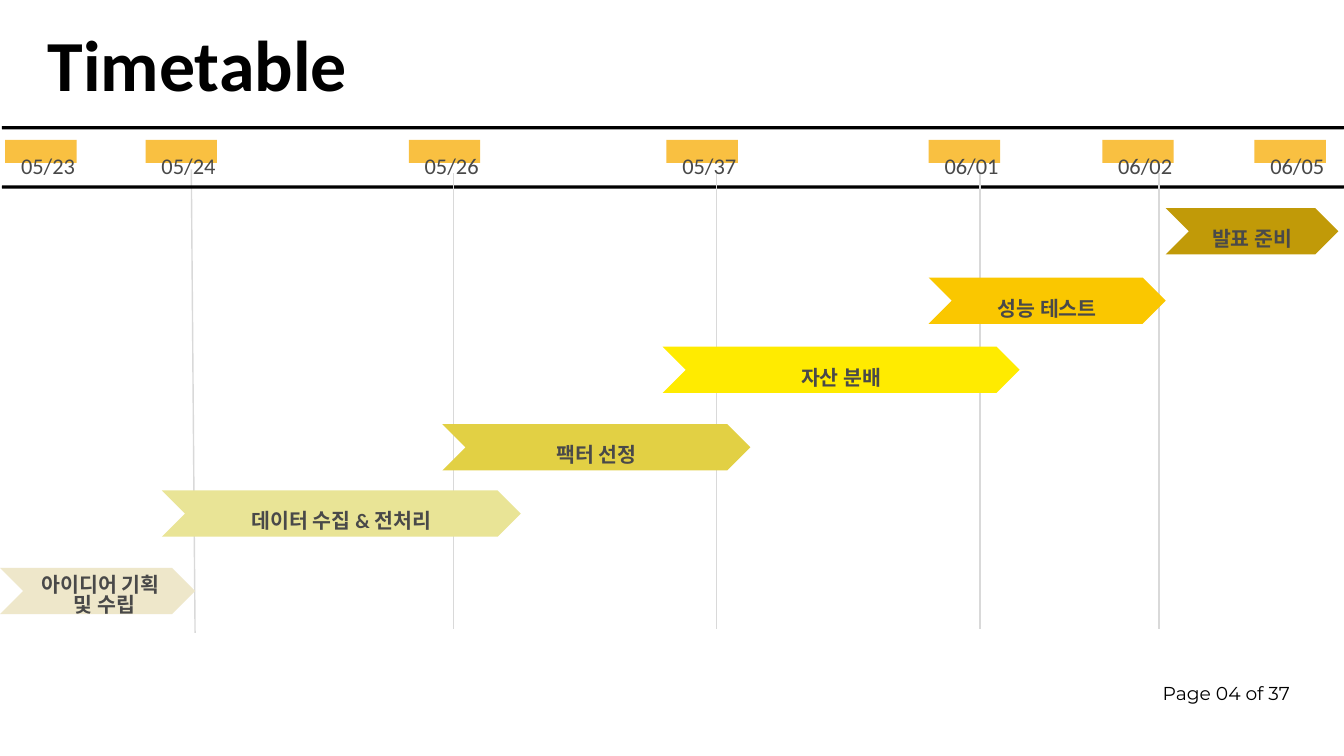
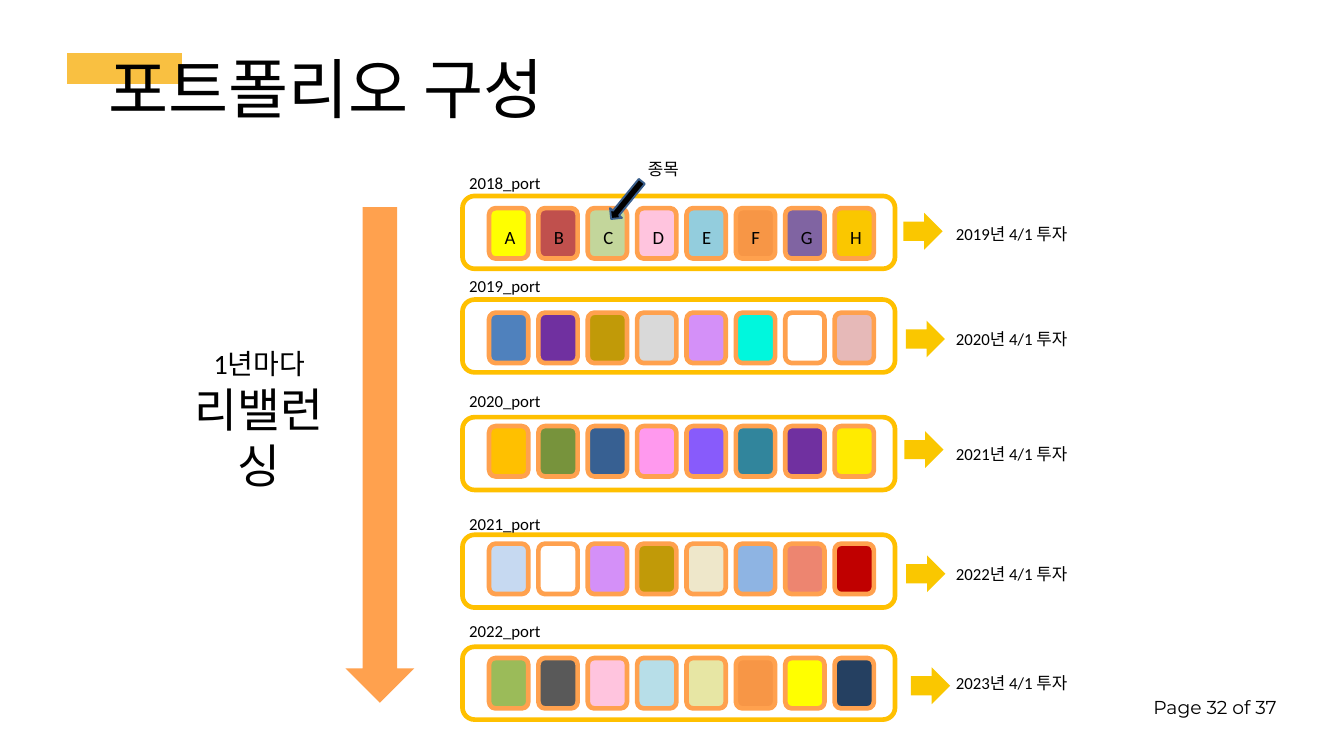
from lxml.etree import SubElement
from pptx import Presentation
from pptx.dml.color import RGBColor
from pptx.enum.shapes import MSO_CONNECTOR as Connector, MSO_SHAPE as Preset
from pptx.enum.text import MSO_ANCHOR as Anchor, MSO_AUTO_SIZE as AutoSize, PP_ALIGN as Align
from pptx.oxml.ns import qn
from pptx.util import Pt

BLACK, GRAY, GUIDE = "000000", "494949", "D9D9D9"
AMBER, GOLD, FRAME, ORANGE = "F9C041", "FAC700", "FFC000", "FFA14E"
TITLE_ONLY = 5

DATES = [("05/23", 5.5), ("05/24", 156), ("05/26", 438), ("05/37", 714),
         ("06/01", 995), ("06/02", 1181), ("06/05", 1344)]
GUIDES = [486, 768, 1050, 1242]
PHASES = [
    ("", 0, 608.5, 209, "EEE7CA"),
    ("데이터 수집 & 전처리", 173.5, 525.5, 384.5, "E9E496"),
    ("팩터 선정", 474, 454.5, 330, "E2D044"),
    ("자산 분배", 710, 371.5, 382.5, "FFEB00"),
    ("성능 테스트", 995, 297.5, 254, GOLD),
    ("발표 준비", 1249, 223, 185, "C19A08"),
]

TILE_LEFT, TILE_STEP = 524, 52.9
PORTFOLIOS = [
    (2018, 181, 210, 223, (968, 228), 236,
     ["FFFF00", "C0504D", "C3D69B", "FFC4DE", "93CDDD", "F79646", "8064A2", GOLD]),
    (2019, 292, 321, 335, (970.5, 343.5), 348.5,
     ["4F81BD", "7030A0", "C19A08", "D9D9D9", "D490F8", "00F7DD", None, "E6B9B8"]),
    (2020, 415.5, 447, 456.5, (969, 462), 472,
     ["FFC000", "77933C", "376092", "FF99EE", "885BFB", "31859C", "7030A0", "FFEB00"]),
    (2021, 546.5, 573, 582.5, (971, 595), 600.5,
     ["C6D9F1", None, "D490F8", "C19A08", "EEE7CA", "8EB4E3", "ED8570", "C00000"]),
    (2022, 662, 693, 705, (976, 715), 717,
     ["9BBB59", "595959", "FFC4DE", "B7DEE8", "E7E6A4", "F79646", "FFFF00", "254061"]),
]


def rgb(value):
    return RGBColor.from_string(value)


def write(shape, text, size, color=BLACK, bold=False, align=Align.LEFT, spacing=None, font="Calibri"):
    shape.text_frame.text = text
    for paragraph in shape.text_frame.paragraphs:
        paragraph.alignment = align
        if spacing:
            paragraph.line_spacing = Pt(spacing)
        for run in paragraph.runs:
            run.font.name = font
            run.font.size = Pt(size)
            run.font.bold = bold
            run.font.color.rgb = rgb(color)


def remove_insets(frame):
    frame.margin_left = frame.margin_top = frame.margin_right = frame.margin_bottom = 0


def add_text(slide, box, text, size, wrap=False, inset=True, **style):
    shape = slide.shapes.add_textbox(*map(Pt, box))
    shape.text_frame.word_wrap = wrap
    if not inset:
        remove_insets(shape.text_frame)
    write(shape, text, size, **style)
    return shape


def add_preset(slide, preset, box, fill=None, line=None, line_width=5):
    shape = slide.shapes.add_shape(preset, *map(Pt, box))
    shape.shadow.inherit = False
    if fill:
        shape.fill.solid()
        shape.fill.fore_color.rgb = rgb(fill)
    else:
        shape.fill.background()
    if line:
        shape.line.color.rgb = rgb(line)
        shape.line.width = Pt(line_width)
    else:
        shape.line.fill.background()
    return shape


def add_guide(slide, *ends):
    connector = slide.shapes.add_connector(Connector.STRAIGHT, *map(Pt, ends))
    connector.line.color.rgb = rgb(GUIDE)
    connector.line.width = Pt(1.5)
    SubElement(connector.element.spPr, qn("a:effectLst"))


def place_title(slide, box, text, size, bold=False):
    title = slide.shapes.title
    title.left, title.top, title.width, title.height = map(Pt, box)
    frame = title.text_frame
    frame.auto_size = AutoSize.NONE
    frame.vertical_anchor = Anchor.TOP
    remove_insets(frame)
    write(title, text, size, bold=bold, spacing=60.4)
    title.element.getparent().append(title.element)


def add_page_number(slide, left, top, number):
    add_text(slide, (left, top, 156, 26), f"Page {number:02} of 37", 20, inset=False,
             wrap=True, align=Align.RIGHT, spacing=28, font="Montserrat")


def add_date(slide, date, left):
    add_preset(slide, Preset.RECTANGLE, (left, 150, 76.5, 24.5), AMBER)
    add_text(slide, (left + 17, 150, 170, 81), date, 24, wrap=True, inset=False,
             color=GRAY, spacing=41.6)


def add_phase(slide, text, left, top, width, fill):
    chevron = add_preset(slide, Preset.CHEVRON, (left, top, width, 49.5), fill)
    if text:
        chevron.text_frame.vertical_anchor = Anchor.MIDDLE
        write(chevron, text, 22, GRAY, bold=True, align=Align.CENTER, spacing=41.6)


def add_portfolio(slide, year, label_top, frame_top, tile_top, arrow_place, note_top, colors):
    add_preset(slide, Preset.ROUNDED_RECTANGLE, (495.5, frame_top, 463.5, 78), line=FRAME)
    add_text(slide, (495.5, label_top, 92, 29), f"{year}_port", 18)
    for column, color in enumerate(colors):
        add_preset(slide, Preset.ROUNDED_RECTANGLE,
                   (TILE_LEFT + column * TILE_STEP, tile_top, 42, 54), color, ORANGE)
    arrow = add_preset(slide, Preset.RIGHT_ARROW, (*arrow_place, 42, 39.5), GOLD)
    arrow.adjustments[0] = 0.52
    add_text(slide, (1017, note_top, 136, 29), f"{year + 1}년 4/1 투자", 18, wrap=True)


def build_timetable(slide):
    add_page_number(slide, 1226, 727, 4)
    place_title(slide, (51, 52.5, 779, 68.5), "Timetable", 77, bold=True)
    add_guide(slide, 205, 181.5, 209, 678)
    for top in (135, 198.5):
        add_preset(slide, Preset.ROUNDED_RECTANGLE, (2, top, 1438, 3.6), BLACK)
    for x in GUIDES:
        add_guide(slide, x, 185.5, x, 674)
    for date in DATES:
        add_date(slide, *date)
    for phase in PHASES:
        add_phase(slide, *phase)
    add_text(slide, (37.5, 609, 153.5, 34), "아이디어 기획", 22, color=GRAY, bold=True)
    add_text(slide, (72, 630.5, 86.5, 34), "및 수립", 22, color=GRAY, bold=True)


def build_portfolios(slide):
    add_preset(slide, Preset.RECTANGLE, (72, 57, 123, 33), AMBER)
    place_title(slide, (116, 75, 874, 67), "포트폴리오 구성", 70)
    for portfolio in PORTFOLIOS:
        add_portfolio(slide, *portfolio)
    add_preset(slide, Preset.DOWN_ARROW, (370, 222, 74, 531), ORANGE)
    rebalancing = add_text(slide, (190, 368, 175.5, 104.5), "1년마다\n리밸런싱", 30,
                           wrap=True, align=Align.CENTER)
    rebalancing.text_frame.paragraphs[1].runs[0].font.size = Pt(50)
    pointer = add_preset(slide, Preset.DOWN_ARROW, (663, 188.5, 16.5, 52), BLACK, "3A5F8C", 2)
    pointer.rotation = 39.2
    add_text(slide, (687, 166.5, 51, 29), "종목", 18)
    for column, letter in enumerate("ABCDEFGH"):
        add_text(slide, (TILE_LEFT + column * TILE_STEP + 9.5, 238, 26, 32), letter, 20)
    add_page_number(slide, 1212, 741, 32)


def main():
    presentation = Presentation()
    presentation.slide_width, presentation.slide_height = Pt(1440), Pt(810)
    for build in (build_timetable, build_portfolios):
        build(presentation.slides.add_slide(presentation.slide_layouts[TITLE_ONLY]))
    presentation.save("out.pptx")


if __name__ == "__main__":
    main()
